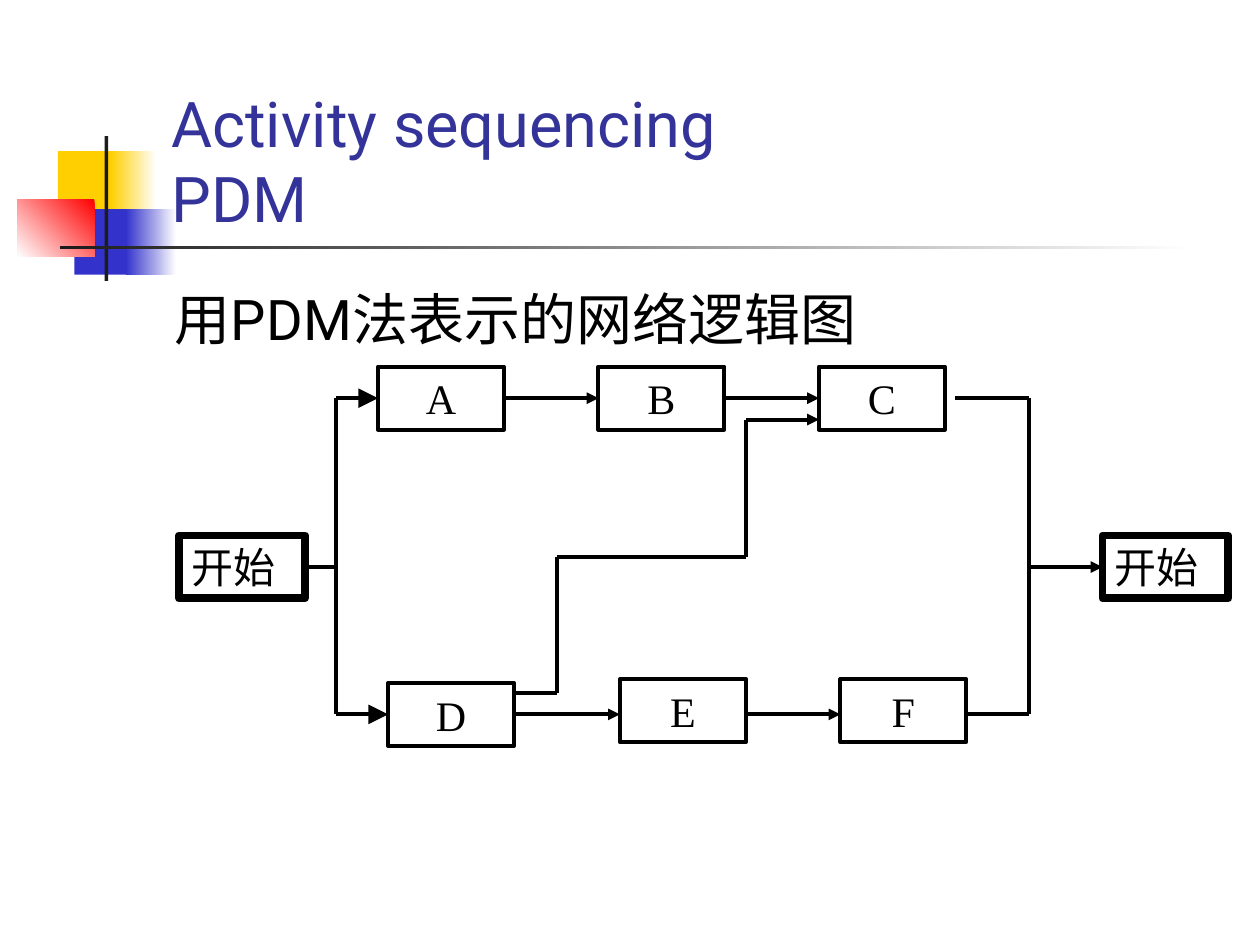
from itertools import pairwise

from lxml.etree import SubElement
from pptx import Presentation
from pptx.dml.color import RGBColor
from pptx.enum.shapes import MSO_CONNECTOR as Conn, MSO_SHAPE as Shape
from pptx.enum.text import MSO_ANCHOR as Anchor, MSO_AUTO_SIZE as Fit, PP_ALIGN as Align
from pptx.oxml.ns import qn
from pptx.util import Inches, Pt

HUES = {"black": "000000", "white": "FFFFFF", "gold": "FFCF01", "blue": "3333CC",
        "red": "FF0000", "dark": "1C1C1C", "title": "333399"}
LEFT, RIGHT = 1, 3
BOX_W, BOX_H = 1, 0.5


def hue(name):
    return RGBColor.from_string(HUES[name])


def style(par, size, face, color):
    par.font.size, par.font.name = Pt(size), face
    par.font.color.rgb = hue(color)


def add_rect(slide, box):
    rect = slide.shapes.add_shape(Shape.RECTANGLE, *map(Inches, box))
    rect.shadow.inherit = False
    return rect


def add_tile(slide, box, hues, angle=180):
    """Borderless rectangle; two hues make a gradient, angle counterclockwise."""
    tile = add_rect(slide, box)
    tile.line.fill.background()
    if len(hues) == 1:
        tile.fill.solid()
        tile.fill.fore_color.rgb = hue(hues[0])
        return
    tile.fill.gradient()
    tile.fill.gradient_angle = angle
    for stop, name in zip(tile.fill.gradient_stops, hues):
        stop.color.rgb = hue(name)


def add_motif(slide, x, y):
    """Coloured squares and crossed bars, from the top left corner given."""
    add_tile(slide, (x + 0.32, y + 0.12, 0.48, 0.52), ["gold"])
    add_tile(slide, (x + 0.74, y + 0.12, 0.36, 0.52), ["white", "gold"])
    add_tile(slide, (x + 0.45, y + 0.58, 0.46, 0.52), ["blue"])
    add_tile(slide, (x + 0.86, y + 0.58, 0.4, 0.52), ["white", "blue"])
    add_tile(slide, (x, y + 0.5, 0.61, 0.46), ["red", "white"], 225)
    add_tile(slide, (x + 0.69, y, 0.03, 1.15), ["dark"])
    add_tile(slide, (x + 0.34, y + 0.87, 9, 0.03), ["white", "dark"])


def set_title(slide, box, text):
    title = slide.shapes.title
    title.left, title.top, title.width, title.height = map(Inches, box)
    frame = title.text_frame
    frame.text = text
    frame.vertical_anchor, frame.auto_size = Anchor.BOTTOM, Fit.NONE
    par = frame.paragraphs[0]
    par.alignment = Align.LEFT
    style(par, 36, "Roboto", "title")
    title.element.getparent().append(title.element)  # in front of the motif


def add_lead(slide, box, text):
    frame = slide.shapes.add_textbox(*map(Inches, box)).text_frame
    frame.word_wrap = True
    frame.text = text
    style(frame.paragraphs[0], 32, "Roboto", "black")


def add_node(slide, x, mid, text, width=2.25, align=Align.CENTER):
    """Network box with its left edge at x and its middle at mid."""
    node = add_rect(slide, (x, mid - BOX_H / 2, BOX_W, BOX_H))
    node.fill.background()
    node.line.color.rgb, node.line.width = hue("black"), Pt(width)
    frame = node.text_frame
    frame.text, frame.vertical_anchor = text, Anchor.TOP
    par = frame.paragraphs[0]
    par.alignment = align
    style(par, 24, "Times New Roman", "black")
    return node


def add_link(slide, start, end, head=None, source=None, target=None):
    """Line from start to end; head is the arrowhead size at the end."""
    link = slide.shapes.add_connector(Conn.STRAIGHT, *map(Inches, start + end))
    if source:
        link.begin_connect(source, RIGHT)
    if target:
        link.end_connect(target, LEFT)
    link.line.color.rgb, link.line.width = hue("black"), Pt(2.25)
    if head:
        SubElement(link.line._get_or_add_ln(), qn("a:tailEnd"),
                   type="triangle", w=head, len=head)
    SubElement(link.element.spPr, qn("a:effectLst"))


def add_network(slide, x, y):
    """Network diagram: two rows of tasks between two end boxes."""
    top, mid, low = y + 0.26, y + 1.6, y + 2.77
    fork, join = x + 1.25, x + 6.75

    first, last = (add_node(slide, x + dx, mid, "开始", 4.5, Align.LEFT)
                   for dx in (0, 7.33))
    a, b, c = (add_node(slide, x + 1.58 + i * 1.75, top, name)
               for i, name in enumerate("ABC"))
    d = add_node(slide, x + 1.66, low, "D")
    for i, name in enumerate("EF"):
        add_node(slide, x + 3.5 + i * 1.75, low - 0.03, name)

    add_link(slide, (fork, top), (fork, low))
    add_link(slide, (x + 1, mid), (fork, mid), source=first)
    add_link(slide, (fork, top), (x + 1.58, top), "lg", target=a)
    add_link(slide, (fork, low), (x + 1.66, low), "lg", target=d)

    for left, right in pairwise((a, b, c)):
        add_link(slide, (x, top), (x, top), "med", left, right)
    add_link(slide, (x + 2.66, low), (x + 3.5, low), "med", source=d)
    add_link(slide, (x + 4.5, low), (x + 5.25, low), "med")

    add_link(slide, (join, top), (join, low))
    add_link(slide, (x + 6.16, top), (join, top))
    add_link(slide, (x + 6.25, low), (join, low))
    add_link(slide, (join, mid), (x + 7.33, mid), "med", target=last)

    bends = [(x + 2.66, y + 2.6), (x + 3, y + 2.6), (x + 3, y + 1.52),
             (x + 4.5, y + 1.52), (x + 4.5, y + 0.43), (x + 5.08, y + 0.43)]
    for start, end in pairwise(bends):
        add_link(slide, start, end, "med" if end == bends[-1] else None)


def main():
    deck = Presentation()
    deck.slide_width, deck.slide_height = Inches(10), Inches(7.5)
    slide = deck.slides.add_slide(deck.slide_layouts[5])
    add_motif(slide, 0.14, 1.08)
    set_title(slide, (1.26, 0.67, 8.52, 1.25), "Activity sequencing\vPDM")
    add_lead(slide, (1.29, 2.21, 8.5, 0.65), "用PDM法表示的网络逻辑图")
    add_network(slide, 1.42, 2.9)
    deck.save("out.pptx")


if __name__ == "__main__":
    main()
